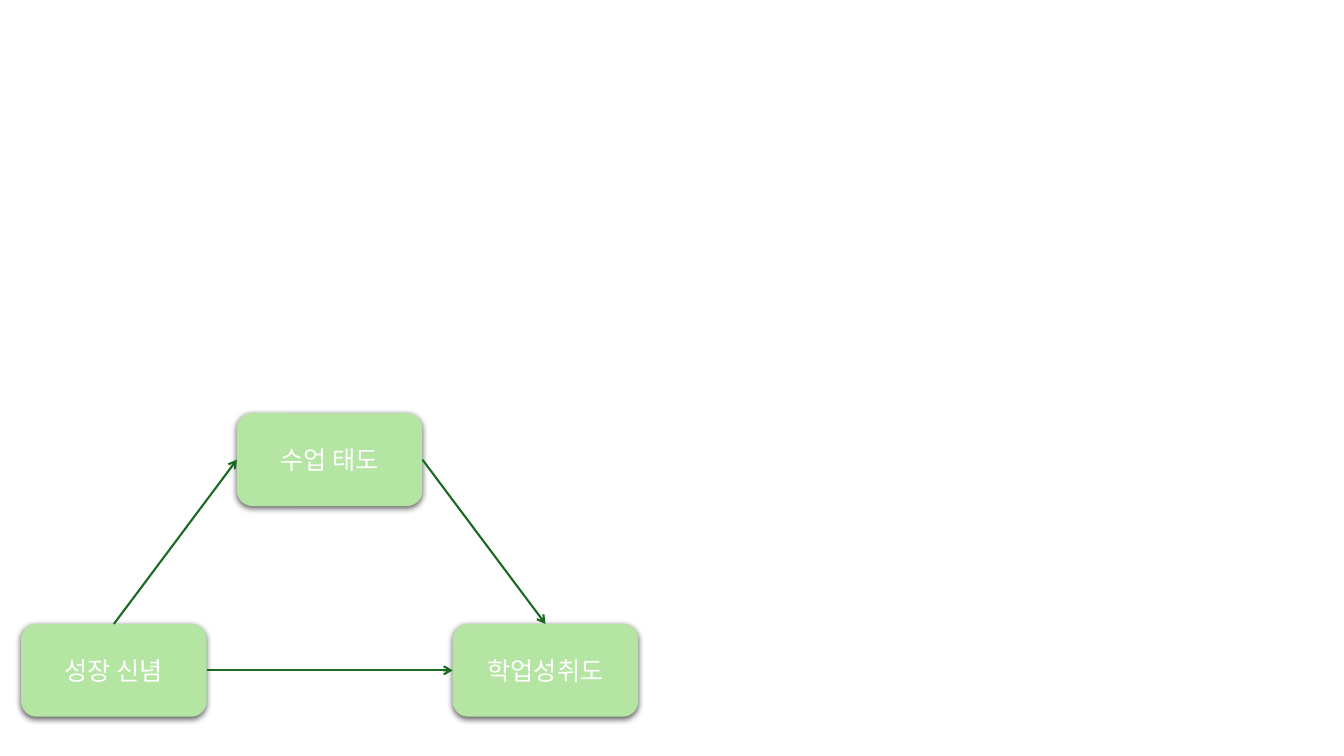
from lxml import etree
from pptx import Presentation
from pptx.dml.color import RGBColor
from pptx.enum.shapes import MSO_CONNECTOR, MSO_SHAPE
from pptx.enum.text import MSO_ANCHOR, PP_ALIGN
from pptx.oxml.ns import qn
from pptx.util import Inches, Pt

ROUNDED = MSO_SHAPE.ROUNDED_RECTANGLE
STRAIGHT = MSO_CONNECTOR.STRAIGHT
MIDDLE = MSO_ANCHOR.MIDDLE
CENTER = PP_ALIGN.CENTER

TOP, LEFT, RIGHT = 0, 1, 3
COLORS = {"box": "B4E5A2", "arrow": "196B24", "text": "FFFFFF", "shadow": "000000"}
FONT = "Noto Sans CJK KR"
BOX_WIDTH, BOX_HEIGHT = 1.84, 0.92


def color(name):
    return RGBColor.from_string(COLORS[name])


def write_text(frame, text, size=18, fill="text", align=CENTER, anchor=MIDDLE):
    frame.word_wrap = True
    frame.vertical_anchor = anchor
    para = frame.paragraphs[0]
    para.alignment = align
    span = para.add_run()
    span.text = text
    span.font.size = Pt(size)
    span.font.color.rgb = color(fill)
    span.font.name = FONT
    etree.SubElement(span.font._element, qn("a:ea"), typeface=FONT)


class DiagramPage:
    """Holds the current slide and draws the styled parts of a path diagram."""

    def __init__(self, deck):
        self.page = deck.slides.add_slide(deck.slide_layouts[6])

    def box(self, text, left, top):
        box = self.page.shapes.add_shape(
            ROUNDED, Inches(left), Inches(top), Inches(BOX_WIDTH), Inches(BOX_HEIGHT))
        box.fill.solid()
        box.fill.fore_color.rgb = color("box")
        box.line.fill.background()
        self.soft_shadow(box)
        write_text(box.text_frame, text)
        return box

    def soft_shadow(self, box):
        box.shadow.inherit = False
        effects = box._element.spPr.find(qn("a:effectLst"))
        shadow = etree.SubElement(
            effects, qn("a:outerShdw"), blurRad=str(Pt(4.5)), dist=str(Pt(1.5)),
            dir="5400000", algn="ctr", rotWithShape="0")
        tint = etree.SubElement(shadow, qn("a:srgbClr"), val=COLORS["shadow"])
        etree.SubElement(tint, qn("a:alpha"), val="63000")

    def arrow(self, start, start_side, end, end_side):
        arrow = self.page.shapes.add_connector(STRAIGHT, 0, 0, 0, 0)
        arrow.begin_connect(start, start_side)
        arrow.end_connect(end, end_side)
        arrow.line.width = Pt(1.5)
        arrow.line.color.rgb = color("arrow")
        properties = arrow._element.spPr
        etree.SubElement(properties.find(qn("a:ln")), qn("a:tailEnd"), type="arrow")
        etree.SubElement(properties, qn("a:effectLst"))


def main():
    deck = Presentation()
    deck.slide_width, deck.slide_height = Inches(13.33), Inches(7.5)
    diagram = DiagramPage(deck)

    belief = diagram.box("성장 신념", 0.21, 6.19)
    achievement = diagram.box("학업성취도", 4.49, 6.19)
    attitude = diagram.box("수업 태도", 2.35, 4.1)

    diagram.arrow(belief, TOP, attitude, LEFT)
    diagram.arrow(attitude, RIGHT, achievement, TOP)
    diagram.arrow(belief, RIGHT, achievement, LEFT)

    deck.save("out.pptx")


if __name__ == "__main__":
    main()
